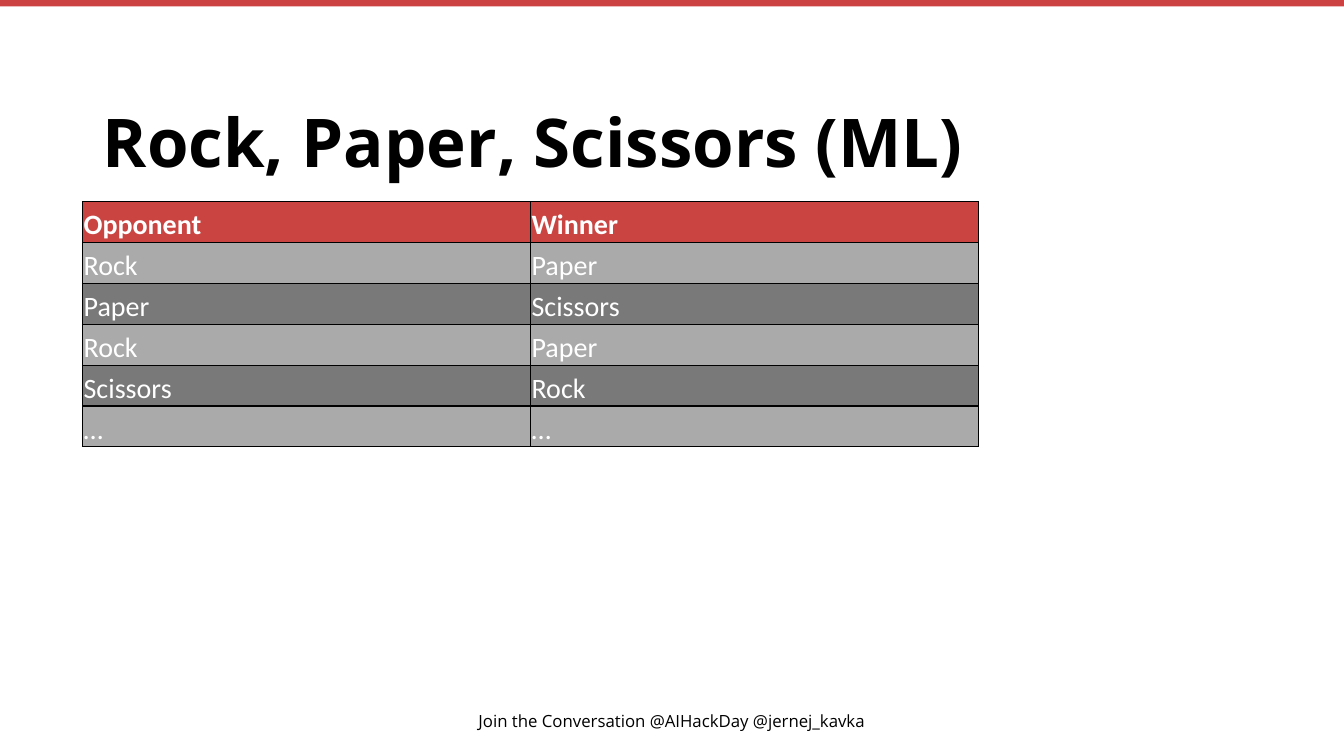
"""Build the Rock, Paper, Scissors slide with its table of moves."""
import dataclasses

import lxml.etree
import pptx
import pptx.dml.color
import pptx.enum.shapes
import pptx.enum.text
import pptx.oxml.ns
import pptx.util

Pt = pptx.util.Pt
ANCHOR = pptx.enum.text.MSO_ANCHOR
ALIGN = pptx.enum.text.PP_ALIGN


@dataclasses.dataclass(frozen=True)
class Theme:
    """Colours, fonts and type sizes of the slide."""
    accent: str = "CC4141"
    header: str = "CA4542"
    bands: tuple = ("AAAAAA", "797979")
    dark: str = "000000"
    light: str = "FFFFFF"
    heading_font: str = "Open Sans"
    table_font: str = "Calibri"
    title_size: int = 48
    table_size: int = 20
    footer_size: int = 12


THEME = Theme()
LEFT = 59
MOVES = [
    ("Opponent", "Winner"),
    ("Rock", "Paper"),
    ("Paper", "Scissors"),
    ("Rock", "Paper"),
    ("Scissors", "Rock"),
    ("…", "…"),
]


def rgb(value):
    """Turn a hex string into a colour."""
    return pptx.dml.color.RGBColor.from_string(value)


def style(p, font, size, color, bold=False, align=ALIGN.LEFT):
    """Set the font and alignment of a paragraph."""
    p.alignment = align
    p.font.name = font
    p.font.size = Pt(size)
    p.font.bold = bold
    p.font.color.rgb = rgb(color)


def add_top_bar(s, width):
    """Draw the thin bar along the top edge."""
    sp = s.shapes.add_shape(pptx.enum.shapes.MSO_SHAPE.RECTANGLE, 0, 0, width, Pt(4.5))
    sp.shadow.inherit = False
    sp.fill.solid()
    sp.fill.fore_color.rgb = rgb(THEME.accent)
    sp.line.fill.background()


def set_title(s, text):
    """Place and format the title placeholder."""
    sp = s.shapes.title
    sp.left, sp.top, sp.width, sp.height = Pt(LEFT), Pt(28.8), Pt(842), Pt(104.4)
    tf = sp.text_frame
    tf.text = text
    tf.vertical_anchor = ANCHOR.BOTTOM
    tf.margin_left = tf.margin_right = Pt(14.4)
    tf.margin_top = tf.margin_bottom = Pt(3.6)
    style(tf.paragraphs[0], THEME.heading_font, THEME.title_size, THEME.dark, bold=True)


def add_footer(s, text):
    """Add the centred line at the foot of the slide."""
    sp = s.shapes.add_textbox(Pt(LEFT), Pt(500.4), Pt(842), Pt(28.8))
    tf = sp.text_frame
    tf.word_wrap = True
    tf.text = text
    tf.vertical_anchor = ANCHOR.MIDDLE
    style(tf.paragraphs[0], THEME.heading_font, THEME.footer_size, THEME.dark,
          align=ALIGN.CENTER)


def add_borders(cell):
    """Give a cell thin borders on all four sides."""
    tc_pr = cell._tc.get_or_add_tcPr()
    qn = pptx.oxml.ns.qn
    for i, side in enumerate(("a:lnL", "a:lnR", "a:lnT", "a:lnB")):
        ln = lxml.etree.Element(qn(side), w=str(Pt(1)))
        fill = lxml.etree.SubElement(ln, qn("a:solidFill"))
        lxml.etree.SubElement(fill, qn("a:srgbClr"), val=THEME.dark)
        tc_pr.insert(i, ln)


def fill_cell(cell, text, fill, bold):
    """Write, colour and outline one table cell."""
    cell.text = text
    cell.vertical_anchor = ANCHOR.BOTTOM
    cell.margin_left = cell.margin_right = cell.margin_top = Pt(0.75)
    cell.margin_bottom = 0
    cell.fill.solid()
    cell.fill.fore_color.rgb = rgb(fill)
    style(cell.text_frame.paragraphs[0], THEME.table_font, THEME.table_size,
          THEME.light, bold)
    add_borders(cell)


def add_moves_table(s, rows):
    """Add the table with a header row and alternating bands."""
    frame = s.shapes.add_table(len(rows), len(rows[0]), Pt(LEFT), Pt(144),
                               Pt(640), Pt(29.2 * len(rows)))
    for i, row in enumerate(rows):
        fill = THEME.bands[(i - 1) % 2] if i else THEME.header
        for j, text in enumerate(row):
            fill_cell(frame.table.cell(i, j), text, fill, bold=i == 0)


def main():
    """Build and save the slide."""
    prs = pptx.Presentation()
    prs.slide_width, prs.slide_height = Pt(960), Pt(540)
    s = prs.slides.add_slide(prs.slide_layouts[5])
    add_top_bar(s, prs.slide_width)
    set_title(s, "Rock, Paper, Scissors (ML)")
    add_footer(s, "Join the Conversation @AIHackDay @jernej_kavka")
    add_moves_table(s, MOVES)
    prs.save("out.pptx")


if __name__ == "__main__":
    main()
